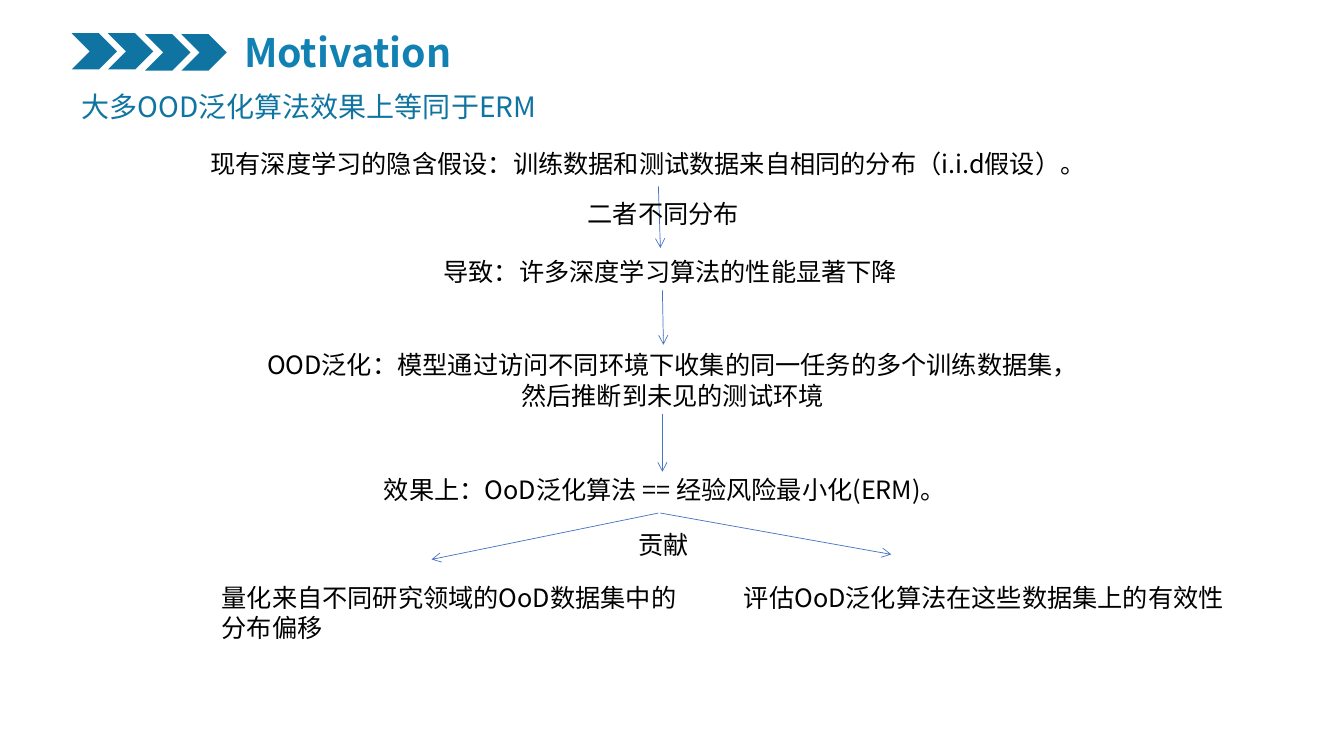
"""Build the Motivation slide: a flow of arguments leading to two contributions."""
from dataclasses import dataclass

import pptx
import pptx.dml.color
import pptx.enum.shapes
import pptx.enum.text
import pptx.oxml
import pptx.oxml.ns
import pptx.slide
import pptx.util
from pptx.util import Inches

FONT = "Noto Sans CJK SC"
TEAL = "0F74A1"
TITLE_BLUE = "1181B3"
ARROW_BLUE = "4472C4"
BLACK = "000000"


@dataclass
class Label:
    text: str
    left: float
    top: float
    width: float
    height: float = 0.4
    size: int = 18
    color: str = BLACK
    bold: bool = False
    centered: bool = False
    wrap: bool = True


@dataclass
class Arrow:
    start: tuple[float, float]
    end: tuple[float, float]


LABELS = [
    Label("Motivation", 2.27, 0.23, 2.36, 0.57, 28, TITLE_BLUE, bold=True, centered=True, wrap=False),
    Label("大多OOD泛化算法效果上等同于ERM", 0.71, 0.84, 4.8, 0.44, 20, TEAL),
    Label("现有深度学习的隐含假设：训练数据和测试数据来自相同的分布（i.i.d假设）。", 1.99, 1.42, 11.04),
    Label("二者不同分布", 5.73, 1.92, 1.86),
    Label("导致：许多深度学习算法的性能显著下降", 4.3, 2.49, 6.67),
    Label("OOD泛化：模型通过访问不同环境下收集的同一任务的多个训练数据集，\n然后推断到未见的测试环境",
          2.27, 3.42, 8.8, 0.71, centered=True),
    Label("效果上：OoD泛化算法 == 经验风险最小化(ERM)。", 3.71, 4.66, 8.83),
    Label("贡献", 6.23, 5.2, 6.67),
    Label("量化来自不同研究领域的OoD数据集中的分布偏移", 2.1, 5.73, 4.81, 0.71),
    Label("评估OoD泛化算法在这些数据集上的有效性", 7.28, 5.73, 4.98),
]

ARROWS = [
    Arrow((6.53, 1.85), (6.55, 2.46)),
    Arrow((6.57, 2.88), (6.58, 3.42)),
    Arrow((6.57, 4.11), (6.57, 4.68)),
    Arrow((6.53, 5.09), (4.28, 5.55)),
    Arrow((6.55, 5.09), (8.84, 5.5)),
]

CHEVRONS = [(0.71, 0.33), (1.07, 0.33), (1.44, 0.34), (1.8, 0.34)]


def rgb(color: str) -> pptx.dml.color.RGBColor:
    """Turn a hex string into a colour."""
    return pptx.dml.color.RGBColor.from_string(color)


def draw_chevrons(page: pptx.slide.Slide) -> None:
    """Draw the grouped row of chevrons before the title."""
    group = page.shapes.add_group_shape()
    for left, top in CHEVRONS:
        chevron = group.shapes.add_shape(
            pptx.enum.shapes.MSO_SHAPE.CHEVRON,
            Inches(left), Inches(top), Inches(0.45), Inches(0.36))
        chevron.shadow.inherit = False
        chevron.fill.solid()
        chevron.fill.fore_color.rgb = rgb(TEAL)
        chevron.line.fill.background()


def draw_label(page: pptx.slide.Slide, label: Label) -> None:
    """Draw one text box with its font set for Latin and Chinese."""
    box = page.shapes.add_textbox(
        Inches(label.left), Inches(label.top), Inches(label.width), Inches(label.height))
    frame = box.text_frame
    frame.word_wrap = label.wrap
    frame.auto_size = pptx.enum.text.MSO_AUTO_SIZE.SHAPE_TO_FIT_TEXT
    frame.text = label.text
    for para in frame.paragraphs:
        if label.centered:
            para.alignment = pptx.enum.text.PP_ALIGN.CENTER
        for span in para.runs:
            span.font.size = pptx.util.Pt(label.size)
            span.font.bold = label.bold
            span.font.color.rgb = rgb(label.color)
            span.font.name = FONT
            east_asian = pptx.oxml.parse_xml(
                f'<a:ea {pptx.oxml.ns.nsdecls("a")} typeface="{FONT}"/>')
            span.font._element.find(pptx.oxml.ns.qn("a:latin")).addnext(east_asian)


def draw_arrow(page: pptx.slide.Slide, arrow: Arrow) -> None:
    """Draw one thin line with an open arrowhead at its end."""
    connector = page.shapes.add_connector(
        pptx.enum.shapes.MSO_CONNECTOR.STRAIGHT,
        *map(Inches, arrow.start), *map(Inches, arrow.end))
    connector.line.color.rgb = rgb(ARROW_BLUE)
    connector.line.width = pptx.util.Pt(0.5)
    namespace = pptx.oxml.ns.nsdecls("a")
    connector.line._get_or_add_ln().append(
        pptx.oxml.parse_xml(f'<a:tailEnd {namespace} type="arrow"/>'))
    connector._element.spPr.append(pptx.oxml.parse_xml(f"<a:effectLst {namespace}/>"))


def main() -> None:
    """Assemble and save the slide."""
    deck = pptx.Presentation()
    deck.slide_width = Inches(13.33)
    deck.slide_height = Inches(7.5)
    page = deck.slides.add_slide(deck.slide_layouts[6])
    draw_chevrons(page)
    for arrow in ARROWS:
        draw_arrow(page, arrow)
    for label in LABELS:
        draw_label(page, label)
    deck.save("out.pptx")


if __name__ == "__main__":
    main()
